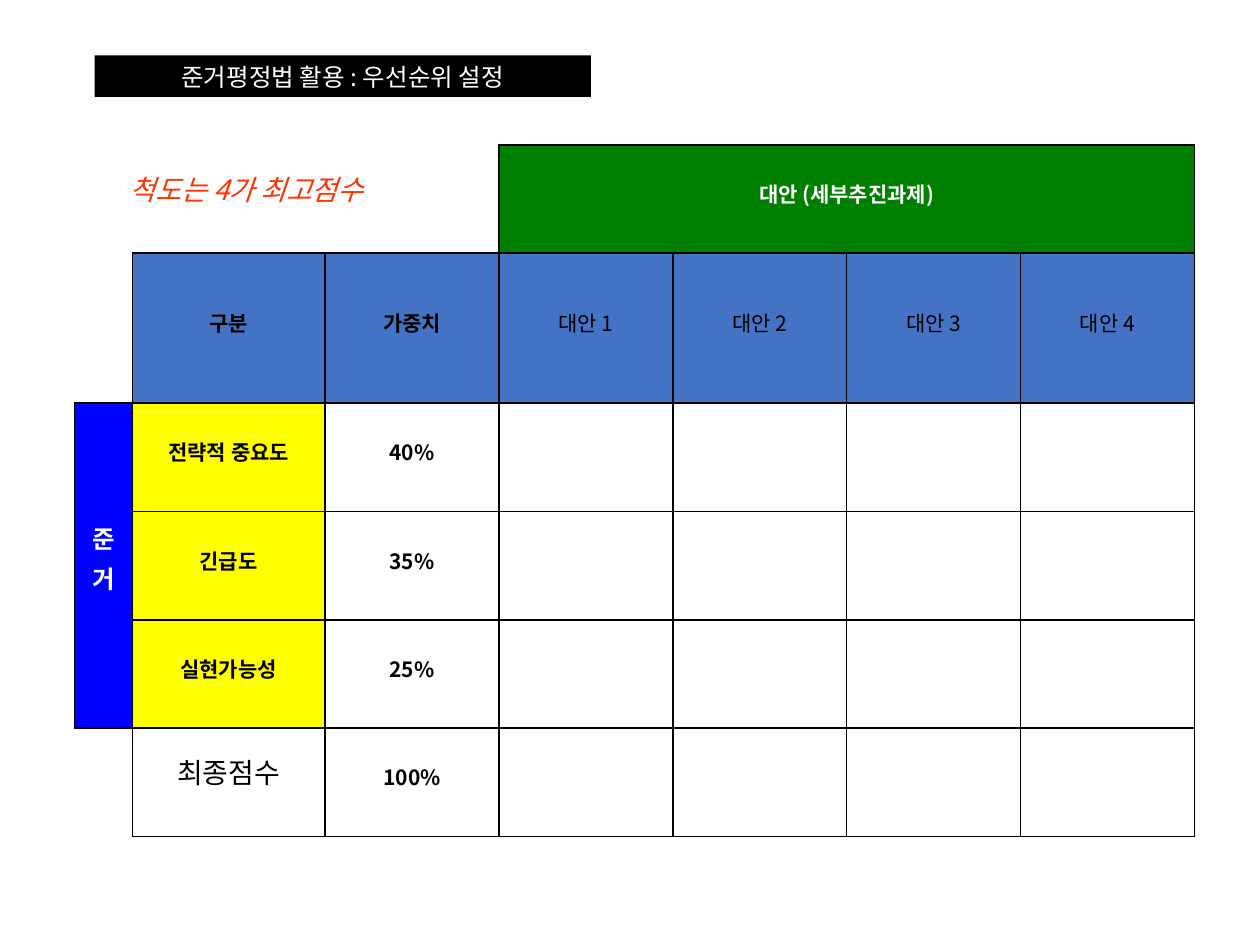
import pptx
import pptx.dml.color
import pptx.enum.text
import pptx.oxml.ns
import pptx.util
from lxml import etree

Inches, Pt = pptx.util.Inches, pptx.util.Pt
ALIGN = pptx.enum.text.PP_ALIGN
MIDDLE = pptx.enum.text.MSO_ANCHOR.MIDDLE
qn = pptx.oxml.ns.qn

FONT = "Noto Sans CJK KR"
BLACK, WHITE, RED = "000000", "FFFFFF", "FF3300"
GREEN, BLUE, NAVY, YELLOW = "008000", "4472C4", "0000FF", "FFFF00"
PLAIN_GRID = "{2D5ABB26-0587-4C30-8999-92F81FD0307C}"

TITLE = "준거평정법 활용 : 우선순위 설정"
ROWS = [
    ["척도는 4가 최고점수", "", "", "대안 (세부추진과제)", "", "", ""],
    ["", "구분", "가중치", "대안 1", "대안 2", "대안 3", "대안 4"],
    ["준\n거", "전략적 중요도", "40%", "", "", "", ""],
    ["", "긴급도", "35%", "", "", "", ""],
    ["", "실현가능성", "25%", "", "", "", ""],
    ["", "최종점수", "100%", "", "", "", ""],
]
WIDTHS = [0.46, 1.53] + [1.38] * 5
HEIGHTS = [0.86, 1.19] + [0.86] * 4
MERGES = [((0, 0), (0, 2)), ((0, 3), (0, 6)), ((2, 0), (4, 0))]
OPEN_SIDES = {(0, 0): "R", (0, 1): "", (0, 2): "R", (1, 0): "RB", (5, 0): "TR"}
FILLS = {(0, 3): GREEN, (2, 0): NAVY}
FILLS.update({(1, col): BLUE for col in range(1, 7)})
FILLS.update({(row, 1): YELLOW for row in (2, 3, 4)})
STYLES = {
    (0, 0): dict(size=16, color=RED, bold=False, italic=True),
    (0, 3): dict(color=WHITE),
    (2, 0): dict(size=14, color=WHITE),
    (5, 1): dict(size=16, bold=False),
}
STYLES.update({(1, col): dict(bold=False) for col in range(3, 7)})


def rgb(value):
    return pptx.dml.color.RGBColor.from_string(value)


def paint(target, color):
    target.fill.solid()
    target.fill.fore_color.rgb = rgb(color)


def style(p, size=12, color=BLACK, bold=True, italic=False):
    p.alignment = ALIGN.CENTER
    p.font.size, p.font.bold, p.font.italic = Pt(size), bold, italic
    p.font.color.rgb = rgb(color)
    p.font.name = FONT
    props = p._p.pPr.find(qn("a:defRPr"))
    etree.SubElement(props, qn("a:ea"), typeface=FONT)


def draw_borders(cell, sides):
    props = cell._tc.get_or_add_tcPr()
    for side in "LRTB":
        if side in sides:
            line = etree.SubElement(props, qn("a:ln" + side), w=str(Pt(1)))
            fill = etree.SubElement(line, qn("a:solidFill"))
            etree.SubElement(fill, qn("a:srgbClr"), val=BLACK)


def add_title(slide):
    sp = slide.shapes.title
    sp.left, sp.top = Inches(0.75), Inches(0.44)
    sp.width, sp.height = Inches(3.94), Inches(0.33)
    paint(sp, BLACK)
    tf = sp.text_frame
    tf.text = TITLE
    tf.auto_size = pptx.enum.text.MSO_AUTO_SIZE.NONE
    tf.vertical_anchor = MIDDLE
    style(tf.paragraphs[0], 14, WHITE, bold=False)


def fill_cell(cell, row, col):
    cell.margin_left = cell.margin_right = cell.margin_top = cell.margin_bottom = 0
    cell.vertical_anchor = MIDDLE
    draw_borders(cell, OPEN_SIDES.get((row, col), "LRTB"))
    paint(cell, FILLS.get((row, col), WHITE))
    if not ROWS[row][col]:
        return
    cell.text_frame.text = ROWS[row][col]
    for p in cell.text_frame.paragraphs:
        style(p, **STYLES.get((row, col), {}))
        p.line_spacing = Pt(11)
        if row >= 2:
            p.space_before = Pt(12)
        if (row, col) == (0, 0):
            p.alignment = ALIGN.JUSTIFY
            p._p.pPr.set("marL", str(Inches(0.44)))


def add_rating_table(slide):
    table = slide.shapes.add_table(
        len(ROWS), len(WIDTHS), Inches(0.59), Inches(1.15),
        Inches(sum(WIDTHS)), Inches(sum(HEIGHTS))).table
    table._tbl.tblPr.find(qn("a:tableStyleId")).text = PLAIN_GRID
    table.first_row = table.horz_banding = False
    for column, width in zip(table.columns, WIDTHS):
        column.width = Inches(width)
    for line, height in zip(table.rows, HEIGHTS):
        line.height = Inches(height)
    for row, texts in enumerate(ROWS):
        for col in range(len(texts)):
            fill_cell(table.cell(row, col), row, col)
    for first, last in MERGES:
        table.cell(*first).merge(table.cell(*last))


def main():
    prs = pptx.Presentation()
    prs.slide_width, prs.slide_height = Inches(10), Inches(7.5)
    slide = prs.slides.add_slide(prs.slide_layouts[5])
    add_rating_table(slide)
    add_title(slide)
    prs.save("out.pptx")


if __name__ == "__main__":
    main()
